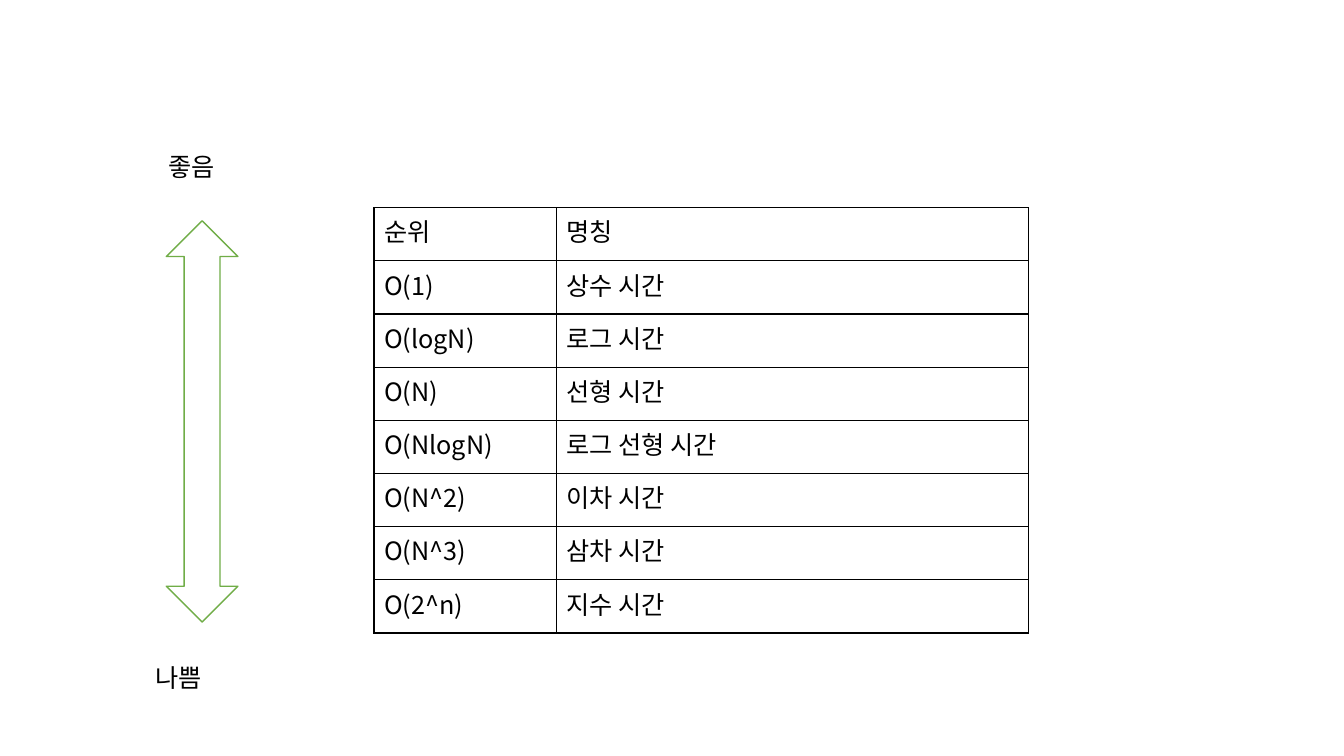
from lxml import etree
from pptx import Presentation
from pptx.dml.color import RGBColor
from pptx.enum.shapes import MSO_SHAPE
from pptx.enum.text import MSO_AUTO_SIZE
from pptx.oxml.ns import qn
from pptx.util import Pt

UP_DOWN_ARROW = MSO_SHAPE.UP_DOWN_ARROW
FIT_SHAPE = MSO_AUTO_SIZE.SHAPE_TO_FIT_TEXT
BLANK_LAYOUT = 6
FONT = "Noto Sans CJK KR"
COLORS = {"ink": "000000", "paper": "FFFFFF", "green": "70AD47"}
COMPLEXITIES = [
    ("순위", "명칭"),
    ("O(1)", "상수 시간"),
    ("O(logN)", "로그 시간"),
    ("O(N)", "선형 시간"),
    ("O(NlogN)", "로그 선형 시간"),
    ("O(N^2)", "이차 시간"),
    ("O(N^3)", "삼차 시간"),
    ("O(2^n)", "지수 시간"),
]
COLUMN_WIDTHS = (130.3, 337)
ROW_HEIGHT = 38


def color(name):
    return RGBColor.from_string(COLORS[name])


def write(frame, text, size=18, ink="ink", font=FONT):
    run = frame.paragraphs[0].add_run()
    run.text = text
    run.font.size = Pt(size)
    run.font.name = font
    run.font.color.rgb = color(ink)
    east_asian = etree.SubElement(run.font._element, qn("a:ea"))
    east_asian.set("typeface", font)


def add_label(slide, text, left, top, width):
    label = slide.shapes.add_textbox(Pt(left), Pt(top), Pt(width), Pt(29))
    label.text_frame.word_wrap = True
    label.text_frame.auto_size = FIT_SHAPE
    write(label.text_frame, text)


def add_scale_arrow(slide, left, top, width, height):
    arrow = slide.shapes.add_shape(
        UP_DOWN_ARROW, Pt(left), Pt(top), Pt(width), Pt(height))
    arrow.shadow.inherit = False
    arrow.fill.solid()
    arrow.fill.fore_color.rgb = color("paper")
    arrow.line.color.rgb = color("green")
    arrow.line.width = Pt(1)


def draw_borders(cell, ink="ink", width=1):
    properties = cell._tc.get_or_add_tcPr()
    for position, side in enumerate(("lnL", "lnR", "lnT", "lnB")):
        border = etree.Element(qn(f"a:{side}"), w=str(Pt(width)))
        fill = etree.SubElement(border, qn("a:solidFill"))
        etree.SubElement(fill, qn("a:srgbClr"), val=COLORS[ink])
        properties.insert(position, border)


def add_complexity_table(slide, left, top):
    frame = slide.shapes.add_table(
        len(COMPLEXITIES), len(COLUMN_WIDTHS), Pt(left), Pt(top),
        Pt(sum(COLUMN_WIDTHS)), Pt(ROW_HEIGHT * len(COMPLEXITIES)))
    table = frame.table
    table.first_row = False
    table.horz_banding = False
    for column, width in zip(table.columns, COLUMN_WIDTHS):
        column.width = Pt(width)
    for row, entries in zip(table.rows, COMPLEXITIES):
        row.height = Pt(ROW_HEIGHT)
        for cell, entry in zip(row.cells, entries):
            cell.fill.solid()
            cell.fill.fore_color.rgb = color("paper")
            draw_borders(cell)
            write(cell.text_frame, entry)


def main():
    deck = Presentation()
    deck.slide_width, deck.slide_height = Pt(960), Pt(540)
    slide = deck.slides.add_slide(deck.slide_layouts[BLANK_LAYOUT])
    add_complexity_table(slide, 267.1, 148.3)
    add_scale_arrow(slide, 118.8, 157.7, 51.1, 286.6)
    add_label(slide, "좋음", 113, 104.4, 113.8)
    add_label(slide, "나쁨", 103.7, 469.4, 81.4)
    deck.save("out.pptx")


main()
